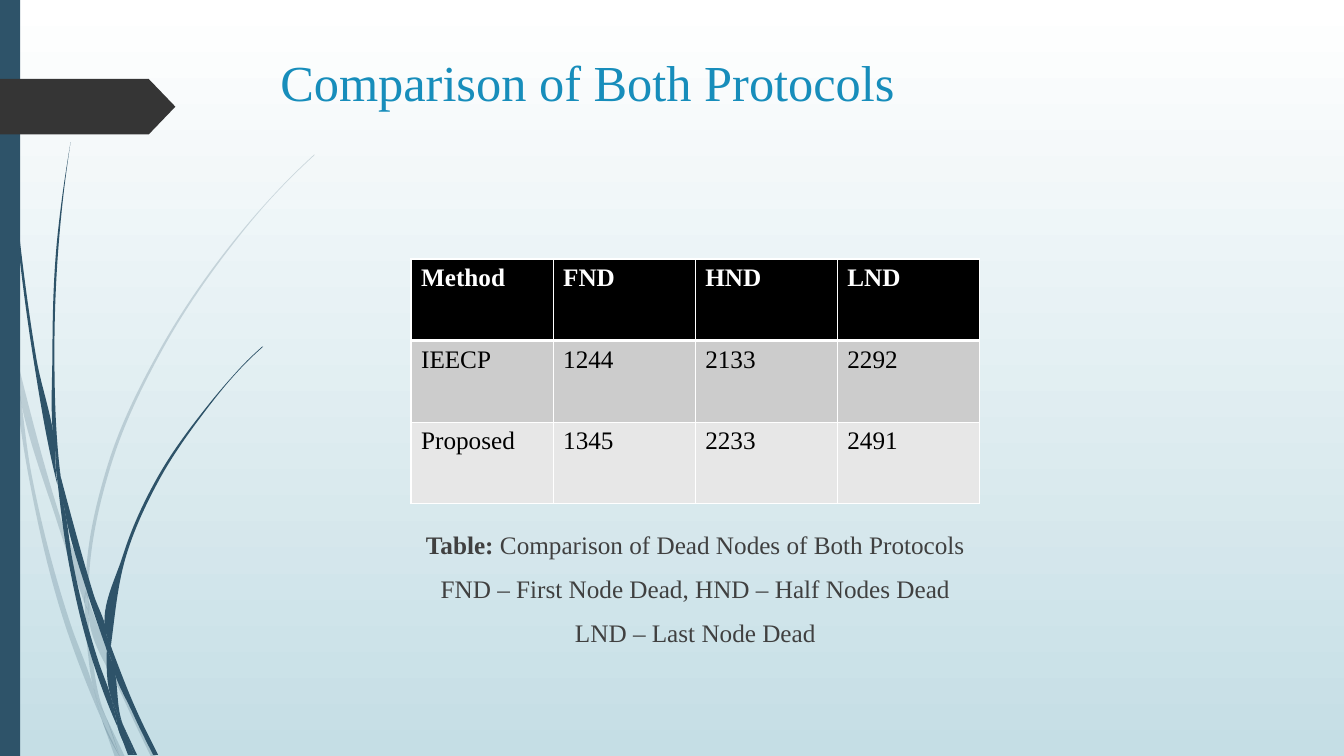
from dataclasses import dataclass

from lxml.etree import SubElement
from pptx import Presentation
from pptx.dml.color import RGBColor as Rgb
from pptx.enum.shapes import MSO_SHAPE as Shape
from pptx.enum.text import MSO_ANCHOR as Anchor, MSO_AUTO_SIZE as AutoSize, PP_ALIGN as Align
from pptx.oxml.ns import qn
from pptx.util import Pt


@dataclass(frozen=True)
class Theme:
    font: str = "Times New Roman"
    title_size: int = 36
    text_size: int = 18
    title: str = "178DBB"
    text: str = "404040"
    stalk: str = "2E5369"
    arrow: str = "353535"
    sky_top: str = "FFFFFF"
    sky_bottom: str = "C5DEE5"
    white: str = "FFFFFF"
    black: str = "000000"
    row_fills: tuple = ("000000", "CCCCCC", "E7E7E7")


THEME = Theme()

# Grass blades: outline anchors x, y on a grid of 0.72 points
GRID = 0.72
FADED_BLADES = (
    "11,350 9,322 0,282 0,299 10,344",
    "58,522 84,599 85,586 62,520 14,345 17,376",
    "92,607 88,596 88,610 123,694 150,751 155,751 127,692",
    "119,751 124,751 105,711",
    "93,683 70,619 31,469 17,376 11,350 28,470 65,621 92,693 101,714 99,707",
    "84,599 87,646 93,683 96,692 105,711 103,706 91,646 88,610 88,608",
    "88,584 110,462 160,349 229,245 268,198 290,175 312,154 312,153 289,175 268,197 "
    "228,244 158,348 107,461 85,584 85,586 88,596",
    "101,714 114,751 119,751",
    "88,608 88,610 88,596 85,586 84,599",
    "96,692 93,683 99,707 101,714 119,751 105,711",
)
DARK_BLADES = (
    "7,110 17,233 33,355 56,477 57,481 55,457 55,453 36,355 19,232 8,109 5,48 4,0 3,0 4,48",
    "88,592 106,645 106,633 106,631 93,590 60,472 64,505",
    "113,649 110,641 111,656 132,708 152,749 157,749 136,706",
    "110,691 98,657 72,556 64,505 57,477 68,557 93,659 111,708 117,722 116,717",
    "60,472 58,453 54,349 58,245 63,193 70,141 62,193 56,245 52,349 55,449",
    "133,749 136,749 122,719",
    "57,477 64,505 60,472 55,449 55,453",
    "111,633 125,552 158,476 205,406 231,374 245,359 261,344 260,344 245,358 231,373 "
    "204,405 156,474 122,551 106,631 110,641",
    "117,722 127,749 131,749",
    "106,645 110,691 116,706 122,719 121,716 111,656 109,651",
    "106,645 109,651 111,656 110,641 106,631 106,633",
    "116,706 110,691 116,717 117,722 130,749 133,749 122,719",
)
RESULTS = [
    ("Method", "FND", "HND", "LND"),
    ("IEECP", "1244", "2133", "2292"),
    ("Proposed", "1345", "2233", "2491"),
]
CAPTION = [
    [("Table:", True), (" Comparison of Dead Nodes of Both Protocols", False)],
    [("FND – First Node Dead, HND – Half Nodes Dead", False)],
    [("LND – Last Node Dead", False)],
]


def add_span(para, text, size, color, bold=False):
    span = para.add_run()
    span.text = text
    span.font.name = THEME.font
    span.font.size = Pt(size)
    span.font.bold = bold
    span.font.color.rgb = Rgb.from_string(color)


def paint(shape, color, alpha=None):
    shape.shadow.inherit = False
    shape.fill.solid()
    shape.fill.fore_color.rgb = Rgb.from_string(color)
    shape.line.fill.background()
    if alpha is not None:
        tone = shape.fill._xPr.find(qn("a:solidFill"))[0]
        SubElement(tone, qn("a:alpha"), val=str(alpha * 1000))


def tangent(before, here, after):
    """Direction of a smooth curve at an anchor, or None at a corner."""
    inward, outward = here - before, after - here
    arriving, leaving = inward / abs(inward), outward / abs(outward)
    if (arriving * leaving.conjugate()).real < 0.8:
        return None
    blend = arriving * abs(outward) + leaving * abs(inward)
    return blend / abs(blend)


def curve_segments(anchors):
    """Two Bezier handles and an end for each side of the closed outline."""
    count = len(anchors)
    slopes = [tangent(anchors[i - 1], anchors[i], anchors[(i + 1) % count])
              for i in range(count)]
    for i, start in enumerate(anchors):
        j = (i + 1) % count
        end = anchors[j]
        reach = abs(end - start) / 3
        first = start + reach * slopes[i] if slopes[i] else None
        second = end - reach * slopes[j] if slopes[j] else None
        if first is None:
            first = (start + second) / 2 if second else start + (end - start) / 3
        if second is None:
            second = (end + first) / 2
        yield first, second, end


def add_blade(group, outline, alpha):
    pairs = [pair.split(",") for pair in outline.split()]
    anchors = [complex(Pt(int(x) * GRID), Pt(int(y) * GRID)) for x, y in pairs]
    corners = [(point.real, point.imag) for point in anchors]
    builder = group.shapes.build_freeform(*corners[0])
    builder.add_line_segments(corners[1:] + corners[:1], close=True)
    blade = builder.convert_to_shape()
    # Bend the straight sides into curves
    origin = complex(blade.left, blade.top)
    trace = blade._element.find(f".//{qn('a:path')}")
    for side, points in zip(trace.findall(qn("a:lnTo")), curve_segments(anchors)):
        bend = trace.makeelement(qn("a:cubicBezTo"))
        for point in points:
            place = point - origin
            SubElement(bend, qn("a:pt"), x=str(round(place.real)), y=str(round(place.imag)))
        trace.replace(side, bend)
    paint(blade, THEME.stalk, alpha)


def add_backdrop(page, height):
    # Sky gradient
    sky = page.background.fill
    sky.gradient()
    sky.gradient_angle = 270
    for stop, color in zip(sky.gradient_stops, (THEME.sky_top, THEME.sky_bottom)):
        stop.color.rgb = Rgb.from_string(color)
    # Grass
    for blades, alpha in ((FADED_BLADES, 20), (DARK_BLADES, None)):
        group = page.shapes.add_group_shape()
        for outline in blades:
            add_blade(group, outline, alpha)
    # Side bar and arrow tab
    bar = page.shapes.add_shape(Shape.RECTANGLE, 0, 0, Pt(14.4), Pt(height))
    paint(bar, THEME.stalk)
    tab = page.shapes.add_shape(Shape.PENTAGON, 0, Pt(56.4), Pt(125.3), Pt(39.6))
    tab.adjustments[0] = 0.48
    paint(tab, THEME.arrow)


def add_title(page, left, top, width, height):
    title = page.shapes.title
    title.left, title.top, title.width, title.height = map(Pt, (left, top, width, height))
    frame = title.text_frame
    frame.auto_size = AutoSize.NONE
    frame.vertical_anchor = Anchor.TOP
    para = frame.paragraphs[0]
    para.alignment = Align.LEFT
    add_span(para, "Comparison of Both Protocols", THEME.title_size, THEME.title)


def set_borders(cell, widths):
    props = cell._tc.get_or_add_tcPr()
    for side, width in zip("LRTB", widths):
        line = SubElement(props, qn(f"a:ln{side}"), w=str(Pt(width)))
        fill = SubElement(line, qn("a:solidFill"))
        SubElement(fill, qn("a:srgbClr"), val=THEME.white)


def add_results_table(page, left, top, width, height):
    table = page.shapes.add_table(len(RESULTS), len(RESULTS[0]),
                                  Pt(left), Pt(top), Pt(width), Pt(height)).table
    for row, values in enumerate(RESULTS):
        header = row == 0
        for column, value in enumerate(values):
            cell = table.cell(row, column)
            set_borders(cell, (1, 1, 3 if row == 1 else 1, 3 if header else 1))
            cell.fill.solid()
            cell.fill.fore_color.rgb = Rgb.from_string(THEME.row_fills[row])
            add_span(cell.text_frame.paragraphs[0], value, THEME.text_size,
                     THEME.white if header else THEME.black, header)


def add_caption(page, left, top, width, height):
    box = page.shapes.add_textbox(Pt(left), Pt(top), Pt(width), Pt(height))
    frame = box.text_frame
    frame.word_wrap = True
    for index, spans in enumerate(CAPTION):
        para = frame.add_paragraph() if index else frame.paragraphs[0]
        para.alignment = Align.CENTER
        if index:
            para.space_before = Pt(10)
        for text, bold in spans:
            add_span(para, text, THEME.text_size, THEME.text, bold)


def main():
    width, height = 960, 540
    deck = Presentation()
    deck.slide_width, deck.slide_height = Pt(width), Pt(height)
    page = deck.slides.add_slide(deck.slide_layouts[5])
    add_backdrop(page, height)
    add_title(page, 193, 33, 702, 101)
    add_results_table(page, 293.6, 185, 406, 175)
    add_caption(page, 259.7, 374.4, 474, 132.5)
    deck.save("out.pptx")


if __name__ == "__main__":
    main()
